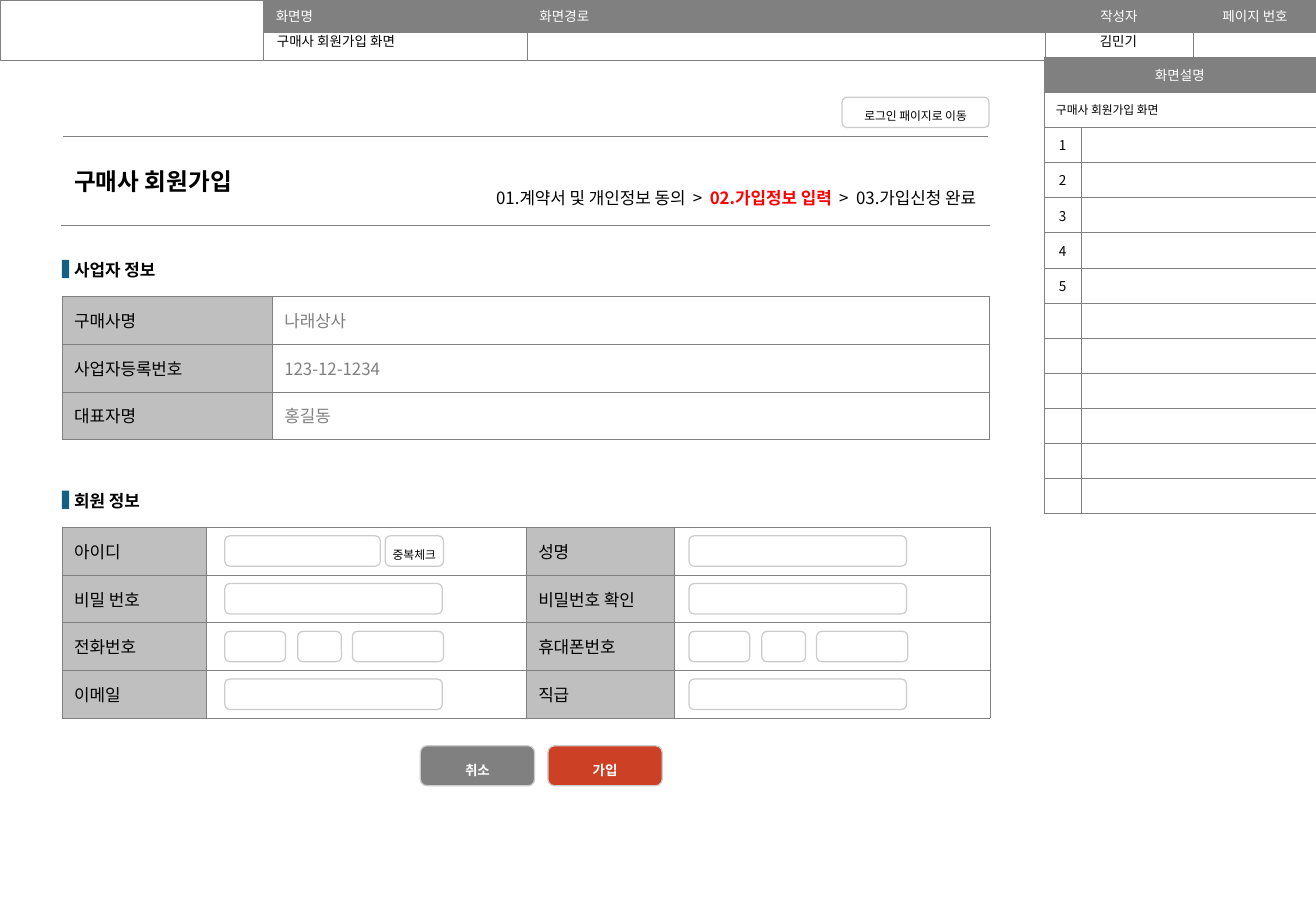
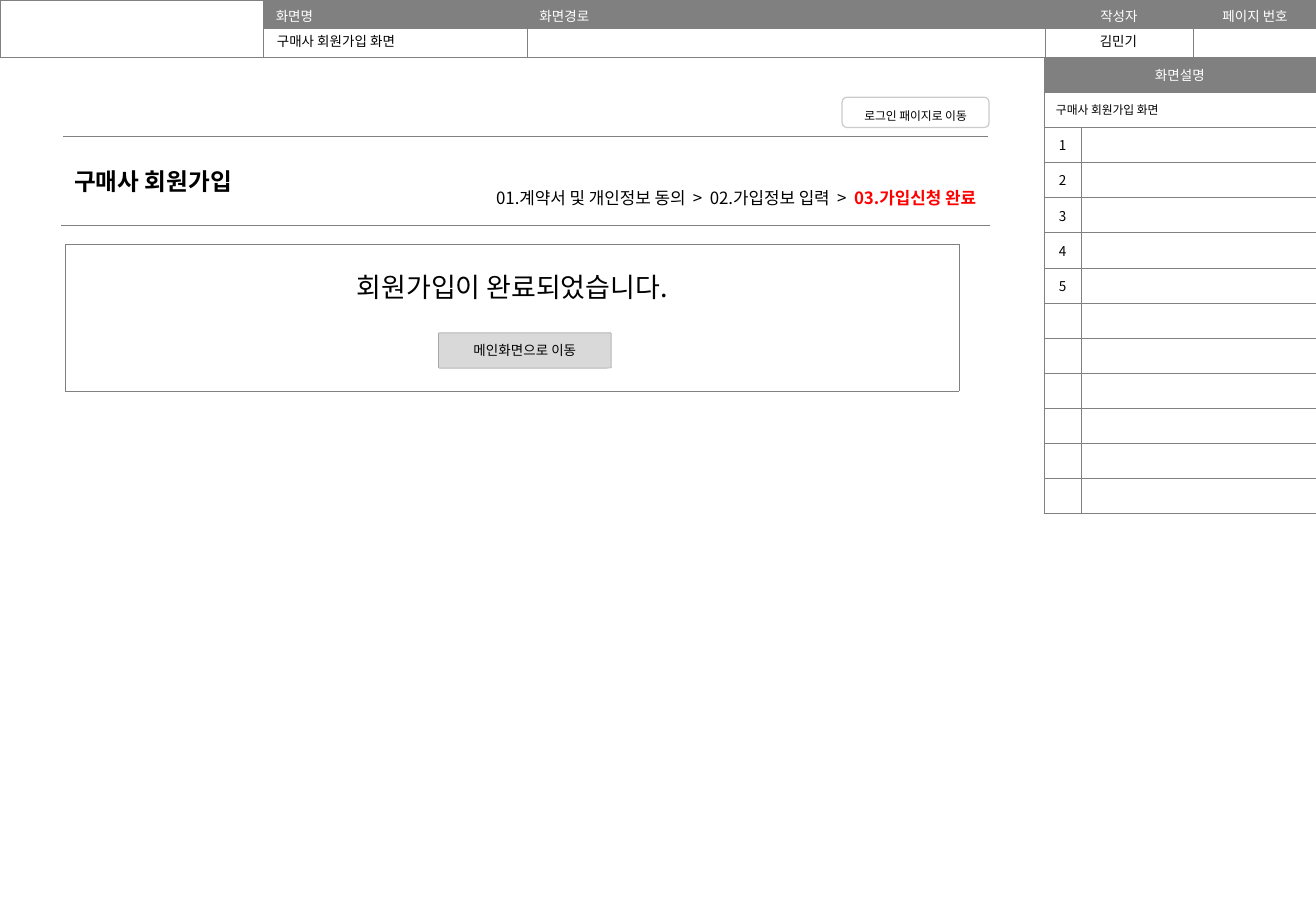
from dataclasses import dataclass

from lxml.etree import SubElement
from pptx import Presentation
from pptx.dml.color import RGBColor
from pptx.enum.shapes import MSO_SHAPE
from pptx.enum.text import MSO_ANCHOR, PP_ALIGN
from pptx.oxml.ns import qn
from pptx.util import Inches, Pt

FONT = "Noto Sans CJK KR"
COLORS = {
    "white": "FFFFFF", "text": "000000", "gray": "808080", "label": "BFBFBF",
    "outline": "CCCCCC", "pale": "D9D9D9", "active": "FF0000",
    "submit": "CC4125", "marker": "156082",
}
SLIDE_W, SLIDE_H = 10.83, 7.5
LEFT, CONTENT_W = 0.51, 7.63
PANEL_LEFT = 8.59
SCREEN_NAME = "구매사 회원가입 화면"
STEPS = ["01.계약서 및 개인정보 동의", "02.가입정보 입력", "03.가입신청 완료"]
HEADING_H, ROW_H, FIELD_H = 0.45, 0.393, 0.25
# Offsets and widths of the input fields inside a form cell
FULL, PHONE = [(0, 1.79)], [(0, 0.5), (0.6, 0.36), (1.05, 0.75)]


@dataclass
class Box:
    x: float
    y: float
    w: float
    h: float

    def inches(self):
        return [Inches(v) for v in (self.x, self.y, self.w, self.h)]


def rgb(name):
    return RGBColor.from_string(COLORS[name])


def add_run(paragraph, text, size, color="text", bold=False):
    run = paragraph.add_run()
    run.text = text
    run.font.size, run.font.bold, run.font.name = Pt(size), bold, FONT
    run.font.color.rgb = rgb(color)
    SubElement(run.font._element, qn("a:ea"), typeface=FONT)


def set_insets(target, horizontal, vertical):
    target.margin_left = target.margin_right = Inches(horizontal)
    target.margin_top = target.margin_bottom = Inches(vertical)


# Tables
def set_borders(cell, **sides):
    """Draw the L, R, T and B edges; None leaves an edge bare."""
    properties = cell._tc.get_or_add_tcPr()
    for side in "LRTB":
        color = sides.get(side, "gray")
        width = Pt(1 if color == "white" else 0.25)
        edge = SubElement(properties, qn(f"a:ln{side}"), w=str(width))
        if color is None:
            SubElement(edge, qn("a:noFill"))
        else:
            fill = SubElement(edge, qn("a:solidFill"))
            SubElement(fill, qn("a:srgbClr"), val=COLORS[color])


def add_grid(slide, box, widths, heights):
    table = slide.shapes.add_table(len(heights), len(widths), *box.inches()).table
    table.first_row = table.horz_banding = False
    for column, width in zip(table.columns, widths):
        column.width = Inches(width)
    for row, height in zip(table.rows, heights):
        row.height = Inches(height)
    return table


def fill_cell(cell, text="", size=8, color="text", bold=False, fill=None,
              align=PP_ALIGN.LEFT, anchor=MSO_ANCHOR.MIDDLE, **sides):
    set_borders(cell, **sides)
    if fill:
        cell.fill.solid()
        cell.fill.fore_color.rgb = rgb(fill)
    else:
        cell.fill.background()
    cell.vertical_anchor = anchor
    paragraph = cell.text_frame.paragraphs[0]
    paragraph.alignment = align
    if text:
        add_run(paragraph, text, size, color, bold)
    else:
        SubElement(paragraph._p, qn("a:endParaRPr"), sz=str(size * 100))


# Text boxes and buttons
def add_label(slide, box, align=PP_ALIGN.LEFT):
    frame = slide.shapes.add_textbox(*box.inches()).text_frame
    frame.word_wrap = True
    frame.paragraphs[0].alignment = align
    return frame


def add_button(slide, box, text="", size=7, color="text", fill="white", bold=False,
               outline="outline", line_width=0.75, radius=0.167, inset=0.1, spacing=1.5):
    button = slide.shapes.add_shape(MSO_SHAPE.ROUNDED_RECTANGLE, *box.inches())
    button.shadow.inherit = False
    button.adjustments[0] = radius
    button.fill.solid()
    button.fill.fore_color.rgb = rgb(fill)
    button.line.color.rgb = rgb(outline)
    button.line.width = Pt(line_width)
    if text:
        frame = button.text_frame
        frame.word_wrap = True
        frame.vertical_anchor = MSO_ANCHOR.MIDDLE
        set_insets(frame, inset, 0.1)
        paragraph = frame.paragraphs[0]
        paragraph.alignment = PP_ALIGN.CENTER
        paragraph.line_spacing = spacing
        add_run(paragraph, text, size, color, bold)


# Regions shared by both slides
def add_header(slide, box):
    table = add_grid(slide, box, [2.17, 2.17, 4.26, 1.22, 1.02], [box.h / 2] * 2)
    titles = ["", "화면명", "화면경로", "작성자", "페이지 번호"]
    for column, title in enumerate(titles):
        fill_cell(table.cell(0, column), title, color="white",
                  fill="gray" if title else None, anchor=MSO_ANCHOR.TOP,
                  align=PP_ALIGN.CENTER if column > 2 else PP_ALIGN.LEFT)
        fill_cell(table.cell(1, column))
    table.cell(0, 0).merge(table.cell(1, 0))
    values = [(2.18, 2.15, SCREEN_NAME, PP_ALIGN.LEFT),
              (PANEL_LEFT, 1.23, "김민기", PP_ALIGN.CENTER)]
    for x, width, text, align in values:
        frame = add_label(slide, Box(box.x + x, box.y + 0.22, width, 0.24), align)
        add_run(frame.paragraphs[0], text, 8)


def add_description_panel(slide, box):
    row_count = 13
    table = add_grid(slide, box, [0.31, box.w - 0.31], [box.h / row_count] * row_count)
    fill_cell(table.cell(0, 0), "화면설명", color="white", fill="gray", align=PP_ALIGN.CENTER)
    fill_cell(table.cell(1, 0), SCREEN_NAME, size=7, fill="white")
    for row in range(2):
        fill_cell(table.cell(row, 1))
        table.cell(row, 0).merge(table.cell(row, 1))
    for row in range(2, row_count):
        number = str(row - 1) if row <= 6 else ""
        fill_cell(table.cell(row, 0), number, fill="white", align=PP_ALIGN.CENTER)
        fill_cell(table.cell(row, 1), fill="white")


def add_title_band(slide, box, active_step):
    title = add_grid(slide, box, [box.w], [box.h]).cell(0, 0)
    fill_cell(title, "구매사 회원가입", size=14, bold=True, L="white", R="white")
    add_button(slide, Box(box.x + box.w - 1.21, box.y - 0.32, 1.21, FIELD_H),
               "로그인 패이지로 이동")
    # Step trail
    trail = add_label(slide, Box(box.x + box.w - 4.68, box.y + 0.36, 4.67, 0.3),
                      PP_ALIGN.RIGHT)
    trail.vertical_anchor = MSO_ANCHOR.MIDDLE
    set_insets(trail, 0.1, 0.1)
    paragraph = trail.paragraphs[0]
    for index, step in enumerate(STEPS):
        if index:
            add_run(paragraph, "  >  ", 10)
        active = index == active_step
        add_run(paragraph, step, 10, "active" if active else "text", active)


def add_frame(presentation, active_step):
    slide = presentation.slides.add_slide(presentation.slide_layouts[6])
    add_header(slide, Box(0, 0, SLIDE_W, 0.47))
    add_description_panel(slide, Box(PANEL_LEFT, 0.47, SLIDE_W - PANEL_LEFT, 3.76))
    add_title_band(slide, Box(LEFT, 1.12, CONTENT_W, 0.73), active_step)
    return slide


# Regions of the form slide
def add_section(slide, box, heading, widths, rows):
    """Headed table whose even columns hold labels and odd columns values."""
    table = add_grid(slide, box, widths, [HEADING_H] + [ROW_H] * len(rows))
    for column in range(len(widths)):
        fill_cell(table.cell(0, column), heading if column == 0 else "", size=10,
                  bold=True, L="white", R="white", T=None)
    table.cell(0, 0).merge(table.cell(0, len(widths) - 1))
    for r, row in enumerate(rows, start=1):
        for c, text in enumerate(row):
            is_label = c % 2 == 0
            fill_cell(table.cell(r, c), text, size=10,
                      color="text" if is_label else "gray",
                      fill="label" if is_label else None)
    marker = slide.shapes.add_shape(
        MSO_SHAPE.RECTANGLE, *Box(box.x, box.y + 0.15, 0.06, 0.15).inches())
    marker.shadow.inherit = False
    marker.fill.solid()
    marker.fill.fore_color.rgb = rgb("marker")
    marker.line.fill.background()


def add_fields(slide, x, y, rows):
    for index, fields in enumerate(rows):
        field_y = y + index * ROW_H + (ROW_H - FIELD_H) / 2
        for offset, width in fields:
            add_button(slide, Box(x + offset, field_y, width, FIELD_H))


def add_member_section(slide, box):
    add_section(slide, box, "회원 정보", [1.19, 2.63, 1.22, 2.6], [
        ["아이디", "", "성명", ""],
        ["비밀 번호", "", "비밀번호 확인", ""],
        ["전화번호", "", "휴대폰번호", ""],
        ["이메일", "", "직급", ""],
    ])
    first_row = box.y + HEADING_H
    left_fields, right_fields = box.x + 1.34, box.x + 5.16
    add_fields(slide, left_fields, first_row, [[(0, 1.28)], FULL, PHONE, FULL])
    add_fields(slide, right_fields, first_row, [FULL, FULL, PHONE, FULL])
    add_button(slide, Box(left_fields + 1.32, first_row + (ROW_H - FIELD_H) / 2,
                          0.48, FIELD_H), "중복체크", inset=0)


def add_actions(slide, box):
    gap = 0.11
    width = (box.w - gap) / 2
    for index, (text, fill) in enumerate([("취소", "gray"), ("가입", "submit")]):
        add_button(slide, Box(box.x + index * (width + gap), box.y, width, box.h),
                   text, size=8, color="white", fill=fill, bold=True)


def build_form_slide(presentation):
    slide = add_frame(presentation, active_step=1)
    add_section(slide, Box(LEFT, 1.99, CONTENT_W, 1.63), "사업자 정보", [1.73, 5.9], [
        ["구매사명", "나래상사"],
        ["사업자등록번호", "123-12-1234"],
        ["대표자명", "홍길동"],
    ])
    add_member_section(slide, Box(LEFT, 3.89, CONTENT_W, 2.02))
    add_actions(slide, Box(3.46, 6.14, 1.99, 0.33))


# Region of the completion slide
def add_completion(slide, box):
    message = add_grid(slide, box, [box.w], [box.h]).cell(0, 0)
    fill_cell(message, "회원가입이 완료되었습니다.", size=16, fill="white",
              align=PP_ALIGN.CENTER, anchor=MSO_ANCHOR.TOP)
    set_insets(message, 0.04, 0.04)
    message.margin_top = Inches(0.18)
    add_button(slide, Box(box.x + 3.07, box.y + 0.73, 1.42, 0.29), "메인화면으로 이동",
               size=8, fill="pale", outline="gray", line_width=0.25,
               radius=0.018, spacing=1)


def build_completion_slide(presentation):
    slide = add_frame(presentation, active_step=2)
    add_completion(slide, Box(0.54, 2.01, 7.35, 1.21))


def main():
    presentation = Presentation()
    presentation.slide_width, presentation.slide_height = Inches(SLIDE_W), Inches(SLIDE_H)
    build_form_slide(presentation)
    build_completion_slide(presentation)
    presentation.save("out.pptx")


if __name__ == "__main__":
    main()
